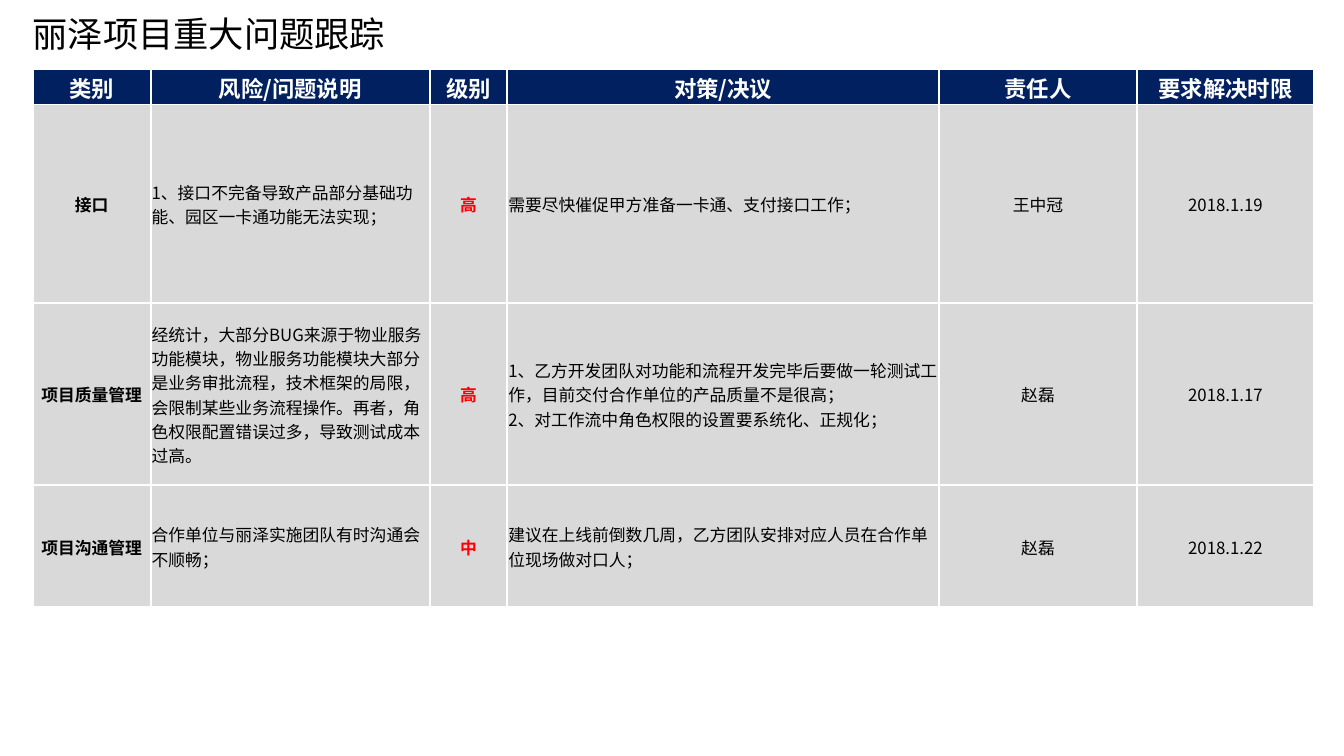
"""Build the slide that tracks the major issues of the project."""
from lxml import etree
from pptx import Presentation
from pptx.dml.color import RGBColor
from pptx.enum import text
from pptx.oxml import ns
from pptx.util import Pt

FONT = "Noto Sans CJK SC"
COLORS = {"black": "000000", "white": "FFFFFF", "navy": "002060", "grey": "D9D9D9", "red": "FF0000"}
COLUMN_WIDTHS = [84.2, 199.4, 55.4, 308.2, 141.8, 126]
ROW_HEIGHTS = [25.2, 141.8, 130.3, 87.1]
ISSUE_COLUMN, LEVEL_COLUMN, ACTION_COLUMN = 1, 2, 3
ROWS = [
    ["类别", "风险/问题说明", "级别", "对策/决议", "责任人", "要求解决时限"],
    ["接口", "1、接口不完备导致产品部分基础功能、园区一卡通功能无法实现；", "高",
     "需要尽快催促甲方准备一卡通、支付接口工作；", "王中冠", "2018.1.19"],
    ["项目质量管理",
     "经统计，大部分BUG来源于物业服务功能模块，物业服务功能模块大部分是业务审批流程，"
     "技术框架的局限，会限制某些业务流程操作。再者，角色权限配置错误过多，导致测试成本过高。",
     "高",
     "1、乙方开发团队对功能和流程开发完毕后要做一轮测试工作，目前交付合作单位的产品质量不是很高；\n"
     "2、对工作流中角色权限的设置要系统化、正规化；",
     "赵磊", "2018.1.17"],
    ["项目沟通管理", "合作单位与丽泽实施团队有时沟通会不顺畅；", "中",
     "建议在上线前倒数几周，乙方团队安排对应人员在合作单位现场做对口人；", "赵磊", "2018.1.22"],
]


def add_run(paragraph, wording, size, color, bold=False):
    run = paragraph.add_run()
    run.text = wording
    run.font.name = FONT
    run.font.size = Pt(size)
    run.font.bold = bold
    run.font.color.rgb = RGBColor.from_string(COLORS[color])
    etree.SubElement(run.font._element, ns.qn("a:ea"), typeface=FONT)


def add_borders(cell):
    properties = cell._tc.get_or_add_tcPr()
    for index, side in enumerate(["lnL", "lnR", "lnT", "lnB"]):
        line = etree.Element(ns.qn(f"a:{side}"), w=str(Pt(1.5)))
        fill = etree.SubElement(line, ns.qn("a:solidFill"))
        etree.SubElement(fill, ns.qn("a:srgbClr"), val=COLORS["white"])
        properties.insert(index, line)


presentation = Presentation()
presentation.slide_width, presentation.slide_height = Pt(960), Pt(540)
slide = presentation.slides.add_slide(presentation.slide_layouts[5])
slide.background.fill.solid()
slide.background.fill.fore_color.rgb = RGBColor.from_string(COLORS["white"])

title = slide.shapes.title
title.left, title.top, title.width, title.height = Pt(16), Pt(13), Pt(878), Pt(26)
title.text_frame.auto_size = text.MSO_AUTO_SIZE.NONE
title.text_frame.vertical_anchor = text.MSO_ANCHOR.MIDDLE
heading = title.text_frame.paragraphs[0]
heading.alignment = text.PP_ALIGN.LEFT
heading.line_spacing = 0.9
add_run(heading, "丽泽项目重大问题跟踪", 25.2, "black")

table = slide.shapes.add_table(
    len(ROWS), len(COLUMN_WIDTHS), Pt(23.4), Pt(49.4), Pt(sum(COLUMN_WIDTHS)), Pt(sum(ROW_HEIGHTS))
).table
for column, width in zip(table.columns, COLUMN_WIDTHS):
    column.width = Pt(width)
for row, height in zip(table.rows, ROW_HEIGHTS):
    row.height = Pt(height)

for row_index, row in enumerate(ROWS):
    is_header = row_index == 0
    for column_index, wording in enumerate(row):
        cell = table.cell(row_index, column_index)
        cell.fill.solid()
        cell.fill.fore_color.rgb = RGBColor.from_string(COLORS["navy" if is_header else "grey"])
        cell.vertical_anchor = text.MSO_ANCHOR.MIDDLE
        cell.margin_left = cell.margin_right = cell.margin_top = Pt(0.7)
        cell.margin_bottom = Pt(0)
        add_borders(cell)
        is_level = column_index == LEVEL_COLUMN
        color = "white" if is_header else "red" if is_level else "black"
        bold = is_header or is_level or column_index == 0
        is_prose = not is_header and column_index in (ISSUE_COLUMN, ACTION_COLUMN)
        for line_index, line in enumerate(wording.split("\n")):
            frame = cell.text_frame
            paragraph = frame.add_paragraph() if line_index else frame.paragraphs[0]
            paragraph.alignment = text.PP_ALIGN.LEFT if is_prose else text.PP_ALIGN.CENTER
            add_run(paragraph, line, 16 if is_header else 12, color, bold)

presentation.save("out.pptx")
